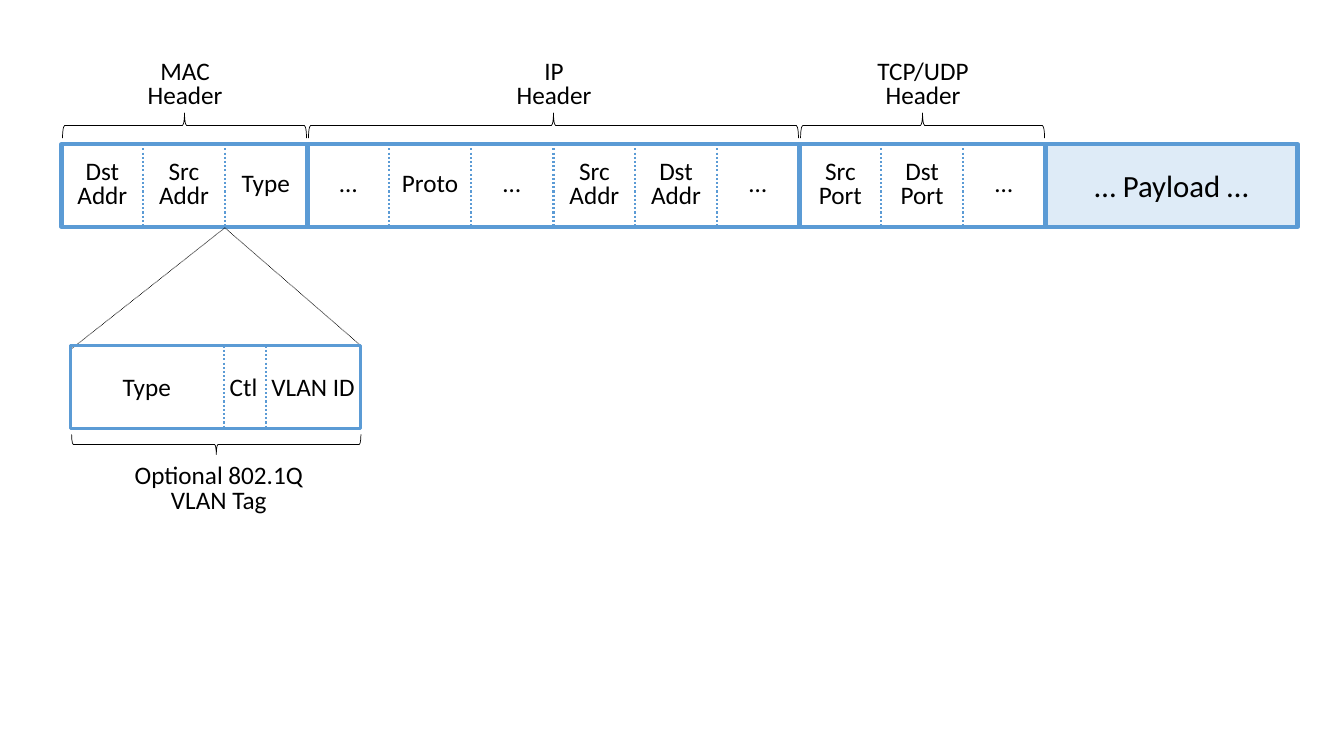
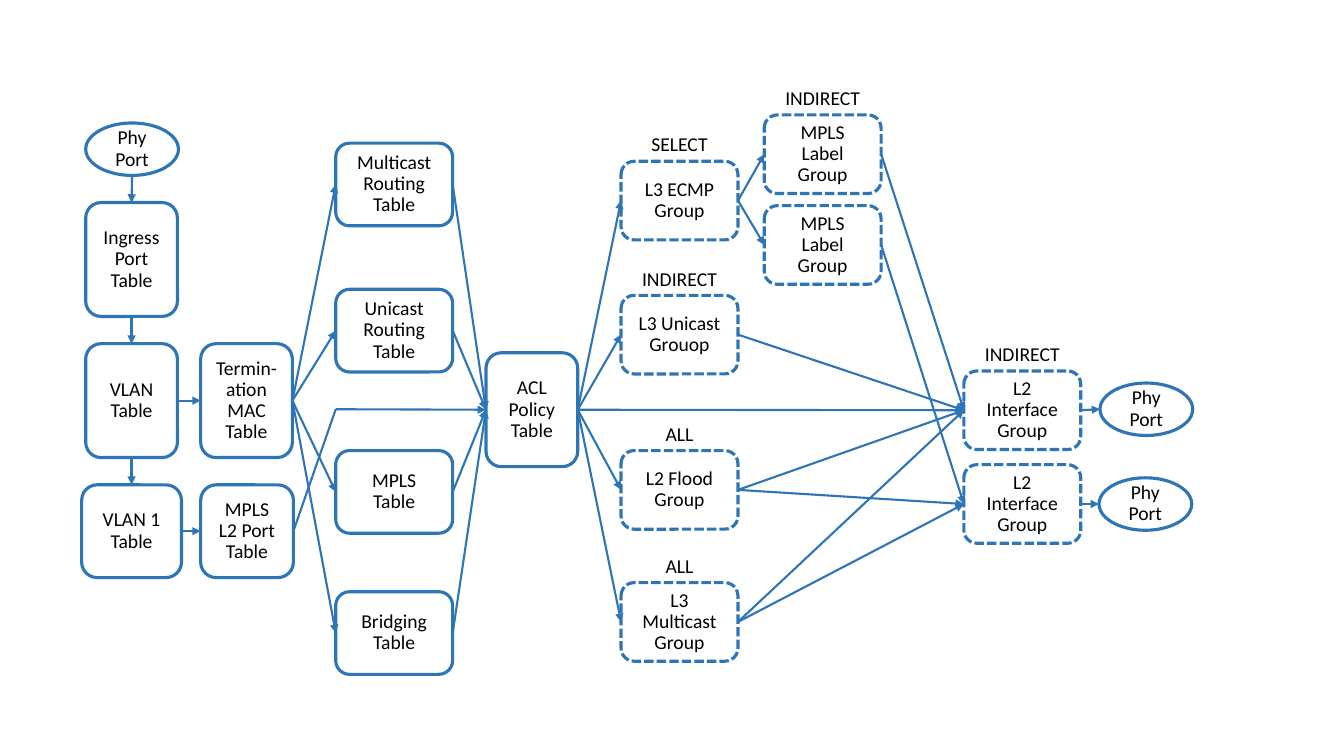
import pptx
import pptx.util
import pptx.dml.color
import pptx.enum.dml
import pptx.enum.shapes
import pptx.enum.text
import pptx.oxml

SHAPE = pptx.enum.shapes.MSO_SHAPE
DASH = pptx.enum.dml.MSO_LINE
FIT = pptx.enum.text.MSO_AUTO_SIZE
MID = pptx.enum.text.MSO_ANCHOR.MIDDLE
NS = 'xmlns:a="http://schemas.openxmlformats.org/drawingml/2006/main"'
UNIT = 9144
BLACK, SKY, PALE, BLUE = "000000", "5B9BD5", "DEEBF7", "2E75B6"
TOP, LEFT, BOTTOM, RIGHT = range(4)


def px(num):
    return pptx.util.Emu(int(num * UNIT))


def paint(fmt, tone):
    fmt.solid()
    fmt.fore_color.rgb = pptx.dml.color.RGBColor.from_string(tone)


def put(item, vals):
    for key, val in vals.items():
        setattr(item, key, val)


class Deck:
    """Holds the shared style and the current slide."""

    font = "Calibri"

    def __init__(self, wide, high):
        self.prs = pptx.Presentation()
        put(self.prs, {"slide_width": px(wide), "slide_height": px(high)})

    def page(self):
        self.slide = self.prs.slides.add_slide(self.prs.slide_layouts[6])

    def words(self, frame, text, size, gap):
        put(frame, {"text": text, "word_wrap": True})
        for para in frame.paragraphs:
            put(para, {"alignment": pptx.enum.text.PP_ALIGN.CENTER, "line_spacing": gap})
            put(para.font, {"name": self.font, "size": pptx.util.Pt(size)})
            paint(para.font.fill, BLACK)

    def text(self, x, y, w, h, text, size=18, gap=0.8):
        box = self.slide.shapes.add_textbox(px(x), px(y), px(w), px(h))
        self.words(box.text_frame, text, size, gap)
        box.text_frame.auto_size = FIT.SHAPE_TO_FIT_TEXT

    def stroke(self, line, tone, width, dash):
        paint(line.fill, tone)
        put(line, {"width": pptx.util.Pt(width), "dash_style": dash})

    def shape(self, kind, x, y, w, h, tone, width=2.25, dash=None, fill=None,
              text="", size=14, gap=0.9):
        item = self.slide.shapes.add_shape(kind, px(x), px(y), px(w), px(h))
        item.shadow.inherit = False
        if fill:
            paint(item.fill, fill)
        else:
            item.fill.background()
        self.stroke(item.line, tone, width, dash)
        if text:
            self.words(item.text_frame, text, size, gap)
            item.text_frame.vertical_anchor = MID
        return item

    def brace(self, x, y, w, h, turn):
        item = self.shape(SHAPE.RIGHT_BRACE, x + (w - h) / 2, y + (h - w) / 2,
                          h, w, BLACK, 0.5)
        item.rotation = turn

    def spot(self, end):
        if isinstance(end[0], int):
            return px(end[0]), px(end[1])
        item, side = end
        across, down = ((1, 0), (0, 1), (1, 2), (2, 1))[side]
        return (item.left + item.width * across // 2,
                item.top + item.height * down // 2)

    def line(self, start, stop, tone, width=1.5, dash=None, arrow=False):
        wire = self.slide.shapes.add_connector(
            pptx.enum.shapes.MSO_CONNECTOR.STRAIGHT, *self.spot(start), *self.spot(stop))
        for end, join in ((start, wire.begin_connect), (stop, wire.end_connect)):
            if not isinstance(end[0], int) and end[0].auto_shape_type != SHAPE.OVAL:
                join(*end)
        self.stroke(wire.line, tone, width, dash)
        props = wire._element.spPr
        if arrow:
            props.ln.append(pptx.oxml.parse_xml(f'<a:tailEnd {NS} type="triangle"/>'))
        props.append(pptx.oxml.parse_xml(f"<a:effectLst {NS}/>"))


def packet(deck):
    deck.page()
    cells = ("Dst\nAddr", "Src\nAddr", "Type", "…", "Proto", "…",
             "Src\nAddr", "Dst\nAddr", "…", "Src\nPort", "Dst\nPort", "…")
    heads = (("MAC", 0, 3), ("IP", 3, 9), ("TCP/UDP", 9, 12))
    top, high = 143, 82
    low = top + high
    edges = [61 + 976 * num // 12 for num in range(13)]
    solid = [first for _, first, _ in heads]

    deck.shape(SHAPE.RECTANGLE, edges[0], top, 1011, high, SKY, 3)
    for num, (edge, name) in enumerate(zip(edges, cells)):
        if num:
            look = (3, None) if num in solid else (1.5, DASH.ROUND_DOT)
            deck.line((edge, top), (edge, low), SKY, *look)
        y, h = (155, 59) if "\n" in name else (167, 34)
        deck.text(edge + 1, y, 79, h, name)
    deck.shape(SHAPE.RECTANGLE, edges[-1], top, 250, high, SKY, 3, fill=PALE,
               text="… Payload …", size=22, gap=1.0)
    for name, first, last in heads:
        x, end = edges[first], edges[last]
        deck.brace(x + 1, 112, end - x - 2, 25, 270)
        deck.text((x + end) // 2 - 74, 56, 149, 59, name + "\nHeader")

    for end in ((71, 346), (358, 343)):
        deck.line((edges[2], 226), end, BLACK, 0.5, DASH.ROUND_DOT)
    deck.shape(SHAPE.RECTANGLE, 70, 343, 288, high, SKY)
    for x in (222, 264):
        deck.line((x, 343), (x, 343 + high), SKY, 1.5, DASH.ROUND_DOT)
    for x, w, name in ((71, 149, "Type"), (189, 105, "Ctl"), (236, 149, "VLAN ID")):
        deck.text(x, 369, w, 34, name)
    deck.brace(71, 431, 287, 20, 90)
    deck.text(116, 457, 202, 59, "Optional 802.1Q VLAN Tag")


def flow(deck):
    deck.page()
    tables = {
        "port": (85, 201, 91, 113, "Ingress\nPort\nTable"),
        "vlan": (85, 341, 91, 113, "VLAN\nTable"),
        "mac": (199, 341, 91, 113, "Termin-ation MAC\nTable"),
        "l2": (199, 481, 92, 92, "MPLS\nL2 Port\nTable"),
        "vlan1": (81, 481, 99, 92, "VLAN 1\nTable"),
        "bridge": (333, 587, 116, 82, "Bridging Table"),
        "mpls": (333, 447, 116, 82, "MPLS Table"),
        "uni": (333, 287, 116, 82, "Unicast Routing Table"),
        "multi": (333, 142, 116, 82, "Multicast\nRouting Table"),
        "acl": (482, 350, 91, 113, "ACL Policy Table"),
    }
    groups = {
        "flood": (616, 447, "L2 Flood Group", "ALL"),
        "cast": (616, 293, "L3 Unicast Grouop", "INDIRECT"),
        "ecmp": (616, 160, "L3 ECMP Group", "SELECT"),
        "tag1": (758, 114, "MPLS Label Group", "INDIRECT"),
        "tag2": (758, 204, "MPLS Label Group", ""),
        "face1": (956, 368, "L2 Interface Group", "INDIRECT"),
        "face2": (956, 461, "L2 Interface Group", ""),
        "many": (616, 578, "L3 Multicast Group", "ALL"),
    }
    ports = {"in": (85, 122), "out1": (1091, 380), "out2": (1090, 474)}
    down = ("in", "port", "vlan", "vlan1")
    across = {
        "vlan": ("mac",),
        "vlan1": ("l2",),
        "mac": ("multi", "uni", "mpls", "bridge"),
        "uni": ("acl",), "multi": ("acl",), "mpls": ("acl",), "bridge": ("acl",),
        "face1": ("out1",), "face2": ("out2",),
        "ecmp": ("tag1", "tag2"),
        "acl": ("ecmp", "cast", "flood", "many", "face1"),
        "many": ("face2", "face1"),
        "flood": ("face1", "face2"),
        "tag2": ("face2",), "tag1": ("face1",), "cast": ("face1",),
    }
    node = {}
    for key, (x, y, w, h, name) in tables.items():
        node[key] = deck.shape(SHAPE.ROUNDED_RECTANGLE, x, y, w, h, BLUE, text=name)
    for key, (x, y, name, label) in groups.items():
        node[key] = deck.shape(SHAPE.ROUNDED_RECTANGLE, x, y, 116, 78, BLUE,
                               dash=DASH.SQUARE_DOT, text=name)
        if label:
            deck.text(x, y - 31, 116, 31, label, 14, 0.9)
    for key, (x, y) in ports.items():
        node[key] = deck.shape(SHAPE.OVAL, x, y, 92, 52, BLUE, text="Phy Port")

    for start, stop in zip(down, down[1:]):
        deck.line((node[start], BOTTOM), (node[stop], TOP), BLUE, arrow=True)
    for start, stops in across.items():
        for stop in stops:
            deck.line((node[start], RIGHT), (node[stop], LEFT), BLUE, arrow=True)
    bend = (333, 406)
    deck.line((node["l2"], RIGHT), bend, BLUE)
    deck.line(bend, (node["acl"], LEFT), BLUE, arrow=True)


def main():
    deck = Deck(1333, 750)
    packet(deck)
    flow(deck)
    deck.prs.save("out.pptx")


if __name__ == "__main__":
    main()
